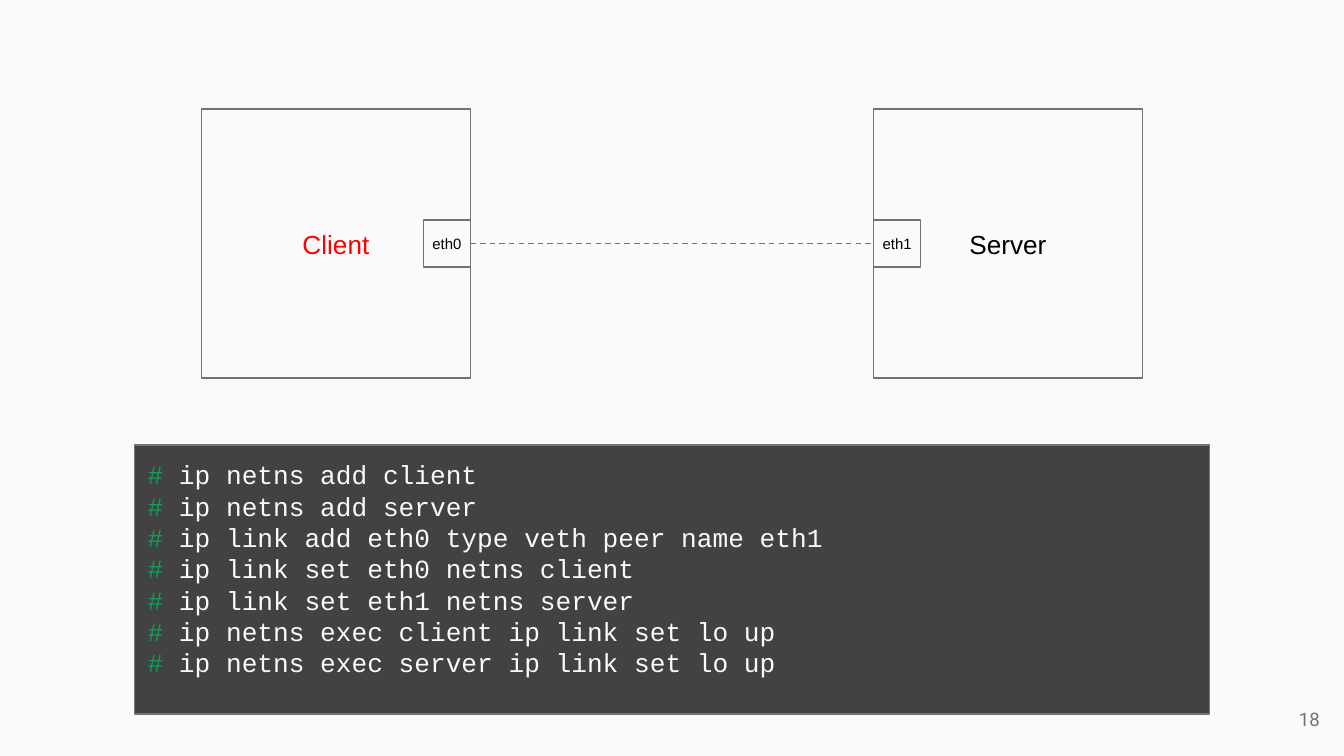
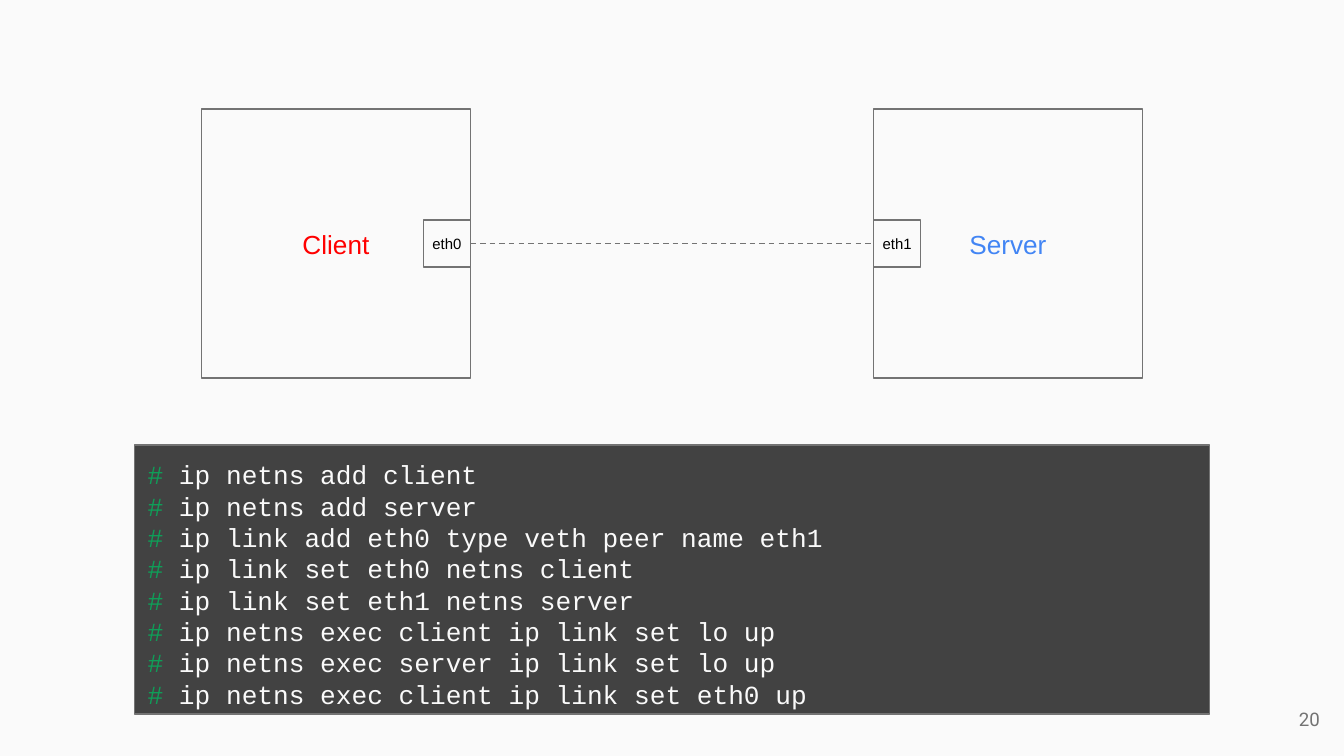
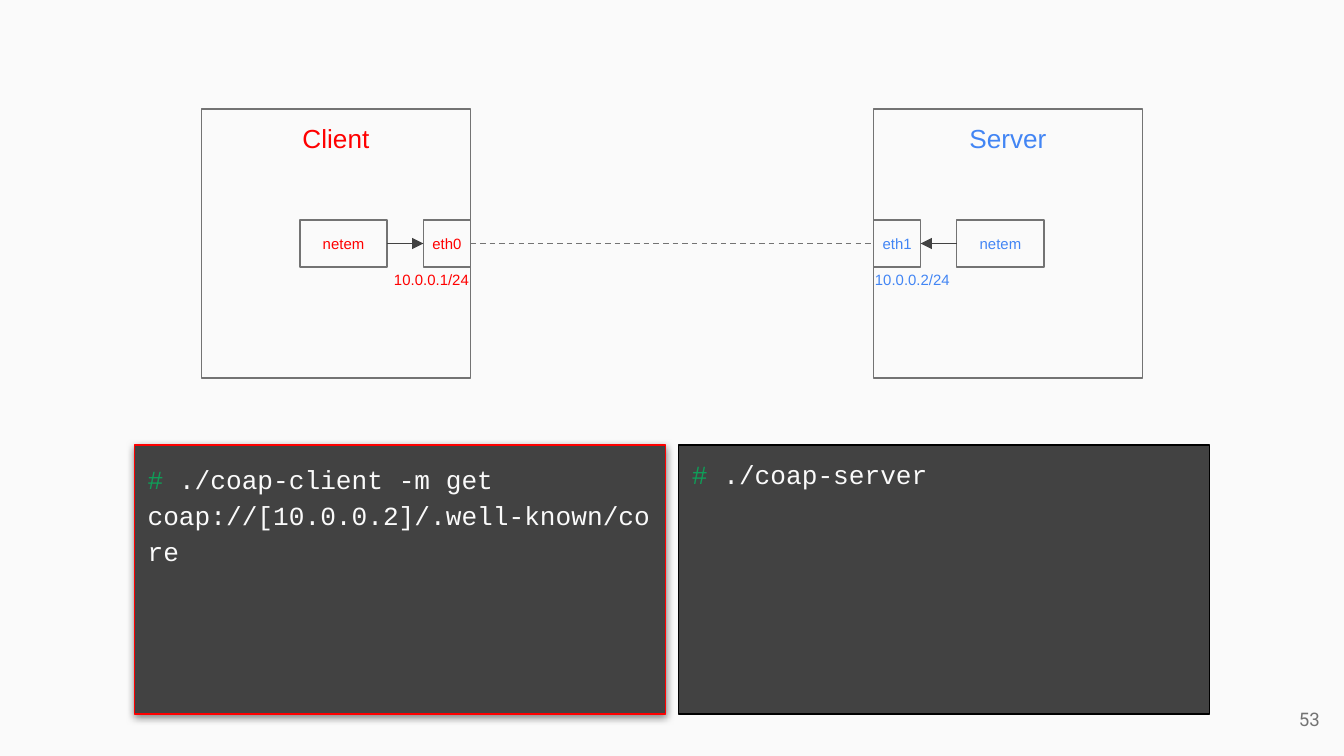
from dataclasses import dataclass

from lxml.etree import SubElement
from pptx import Presentation
from pptx.dml.color import RGBColor
from pptx.enum.dml import MSO_LINE
from pptx.enum.shapes import MSO_CONNECTOR, MSO_SHAPE
from pptx.enum.text import MSO_ANCHOR as Anchor, PP_ALIGN as Align
from pptx.oxml.ns import qn
from pptx.util import Inches, Pt

COLUMNS, ROWS = 160, 90
LEFT_SITE, RIGHT_SITE = 1, 3
HOST_LEFT, HOST_TOP, HOST_SIZE = 24, 13, 32
PORT_SIZE, NETEM_WIDTH, ARROW_LENGTH = 5.6, 10.4, 4.3
PORT_LEFT = HOST_LEFT + HOST_SIZE - PORT_SIZE
PORT_TOP = HOST_TOP + (HOST_SIZE - PORT_SIZE) / 2
NETEM_LEFT = PORT_LEFT - ARROW_LENGTH - NETEM_WIDTH
ADDRESS_SIZE = 12.8
TERMINAL_LEFT, TERMINAL_TOP, TERMINAL_HEIGHT = 16, 53, 32
TERMINAL_WIDTH, HALF_WIDTH = 128, 63.2
INSET = 1.6

SETUP_COMMANDS = [
    "ip netns add client",
    "ip netns add server",
    "ip link add eth0 type veth peer name eth1",
    "ip link set eth0 netns client",
    "ip link set eth1 netns server",
    "ip netns exec client ip link set lo up",
    "ip netns exec server ip link set lo up",
]


@dataclass(frozen=True)
class Theme:
    """Colours, fonts and type sizes of the deck."""
    paper: str = "FAFAFA"
    ink: str = "000000"
    outline: str = "737373"
    dark: str = "424242"
    prompt: str = "0F9D58"
    client: str = "FF0000"
    server: str = "4285F4"
    sans: str = "Arial"
    mono: str = "Courier New"
    number: str = "Roboto"
    large: int = 14
    medium: int = 10
    small: int = 8
    line: float = 0.75


def mirrored(left, width):
    """Return the left edge of a span reflected across the slide."""
    return COLUMNS - left - width


class Sketch:
    """Draws styled elements on the current slide of a deck."""

    def __init__(self, theme):
        """Start an empty widescreen deck."""
        self.theme = theme
        self.deck = Presentation()
        self.deck.slide_width, self.deck.slide_height = Inches(10), Inches(5.625)
        self.fill(self.deck.slide_master.background, theme.paper)
        self.slide = None

    def fill(self, target, color):
        """Give the target a solid fill."""
        target.fill.solid()
        target.fill.fore_color.rgb = RGBColor.from_string(color)

    def columns(self, count):
        """Turn grid columns into a length."""
        return round(self.deck.slide_width * count / COLUMNS)

    def rows(self, count):
        """Turn grid rows into a length."""
        return round(self.deck.slide_height * count / ROWS)

    def place(self, left, top, width, height):
        """Turn a grid area into position and size."""
        return self.columns(left), self.rows(top), self.columns(width), self.rows(height)

    def page(self, number):
        """Add a slide with its number."""
        self.slide = self.deck.slides.add_slide(self.deck.slide_layouts[6])
        self.label(str(number), (149.1, 82.2, 9.6, 6.9), self.theme.outline, Align.RIGHT,
                   size=self.theme.medium, font=self.theme.number,
                   anchor=Anchor.MIDDLE, insets=(INSET, INSET))

    def frame(self, box, anchor, insets, vertical=0):
        """Set wrapping, anchor and margins of a text frame."""
        frame = box.text_frame
        frame.word_wrap = True
        frame.vertical_anchor = anchor
        frame.margin_left, frame.margin_right = map(self.columns, insets)
        frame.margin_top = frame.margin_bottom = self.rows(vertical)
        return frame

    def style(self, para, size, font, align, color=None):
        """Format a whole paragraph."""
        para.alignment = align
        para.font.size, para.font.name = Pt(size), font
        if color:
            para.font.color.rgb = RGBColor.from_string(color)

    def label(self, text, area, color, align, size=None, font=None,
              anchor=Anchor.TOP, insets=(0, 0)):
        """Add free-standing text."""
        box = self.slide.shapes.add_textbox(*self.place(*area))
        para = self.frame(box, anchor, insets).paragraphs[0]
        para.text = text
        self.style(para, size or self.theme.small, font or self.theme.sans, align, color)

    def rectangle(self, area, line, fill=None):
        """Add an outlined rectangle."""
        box = self.slide.shapes.add_shape(MSO_SHAPE.RECTANGLE, *self.place(*area))
        box.shadow.inherit = False
        if fill:
            self.fill(box, fill)
        else:
            box.fill.background()
        box.line.color.rgb = RGBColor.from_string(line)
        box.line.width = Pt(self.theme.line)
        return box

    def node(self, text, area, color, size=None, anchor=Anchor.MIDDLE, inset=0):
        """Add a labelled, unfilled box."""
        box = self.rectangle(area, self.theme.outline)
        para = self.frame(box, anchor, (inset, inset), inset).paragraphs[0]
        para.text = text
        self.style(para, size or self.theme.small, self.theme.sans, Align.CENTER, color)
        return box

    def link(self, start, start_site, end, end_site, arrow=False):
        """Join two boxes with an arrow or a dashed line."""
        link = self.slide.shapes.add_connector(MSO_CONNECTOR.STRAIGHT, 0, 0, 0, 0)
        link.begin_connect(start, start_site)
        link.end_connect(end, end_site)
        color = self.theme.dark if arrow else self.theme.outline
        link.line.color.rgb = RGBColor.from_string(color)
        link.line.width = Pt(self.theme.line)
        properties = link.element.spPr
        if arrow:
            SubElement(properties.find(qn("a:ln")), qn("a:tailEnd"), type="triangle")
        else:
            link.line.dash_style = MSO_LINE.DASH
        SubElement(properties, qn("a:effectLst"))

    def glow(self, box):
        """Give a box a soft shadow below it."""
        effects = box.element.spPr.find(qn("a:effectLst"))
        shadow = SubElement(effects, qn("a:outerShdw"), blurRad=str(Pt(4.5)),
                            dist=str(Pt(1.5)), dir="5400000", algn="bl", rotWithShape="0")
        color = SubElement(shadow, qn("a:srgbClr"), val=self.theme.ink)
        SubElement(color, qn("a:alpha"), val="50000")

    def terminal(self, commands, left, width, line, spacing=None):
        """Add a dark console with one prompt per command."""
        box = self.rectangle((left, TERMINAL_TOP, width, TERMINAL_HEIGHT), line, self.theme.dark)
        frame = self.frame(box, Anchor.TOP, (INSET, INSET), INSET)
        for index, command in enumerate(commands):
            para = frame.add_paragraph() if index else frame.paragraphs[0]
            self.style(para, self.theme.large, self.theme.mono, Align.LEFT)
            para.line_spacing = spacing
            for text, color in (("#", self.theme.prompt), (" " + command, self.theme.paper)):
                span = para.add_run()
                span.text = text
                span.font.color.rgb = RGBColor.from_string(color)
        return box

    def network(self, server_color, port_colors, anchor=Anchor.MIDDLE):
        """Draw both hosts and their linked ports, and return the ports."""
        for name, left, color in (("Client", HOST_LEFT, self.theme.client),
                                  ("Server", mirrored(HOST_LEFT, HOST_SIZE), server_color)):
            self.node(name, (left, HOST_TOP, HOST_SIZE, HOST_SIZE), color,
                      self.theme.large, anchor, INSET)
        lefts = PORT_LEFT, mirrored(PORT_LEFT, PORT_SIZE)
        ports = [self.node(f"eth{index}", (left, PORT_TOP, PORT_SIZE, PORT_SIZE), color)
                 for index, (left, color) in enumerate(zip(lefts, port_colors))]
        self.link(ports[0], RIGHT_SITE, ports[1], LEFT_SITE)
        return ports

    def addresses(self, colors):
        """Write the address below each port."""
        left, top = HOST_LEFT + HOST_SIZE - ADDRESS_SIZE, PORT_TOP + PORT_SIZE + 0.4
        sides = ((left, Align.RIGHT, (0, 0.16)),
                 (mirrored(left, ADDRESS_SIZE), Align.LEFT, (0.16, 0)))
        for host, ((left, align, insets), color) in enumerate(zip(sides, colors), 1):
            self.label(f"10.0.0.{host}/24", (left, top, ADDRESS_SIZE, ADDRESS_SIZE),
                       color, align, insets=insets)

    def emulators(self, ports, colors):
        """Put a netem box with an arrow beside each port."""
        sides = ((NETEM_LEFT, RIGHT_SITE, LEFT_SITE),
                 (mirrored(NETEM_LEFT, NETEM_WIDTH), LEFT_SITE, RIGHT_SITE))
        for port, color, (left, start_site, end_site) in zip(ports, colors, sides):
            netem = self.node("netem", (left, PORT_TOP, NETEM_WIDTH, PORT_SIZE), color)
            self.link(netem, start_site, port, end_site, arrow=True)


def main():
    """Build and save the deck."""
    theme = Theme()
    sketch = Sketch(theme)
    steps = (
        (18, theme.ink, SETUP_COMMANDS),
        (20, theme.server, SETUP_COMMANDS + ["ip netns exec client ip link set eth0 up"]),
    )
    for number, server_color, commands in steps:
        sketch.page(number)
        sketch.network(server_color, (theme.ink, theme.ink))
        sketch.terminal(commands, TERMINAL_LEFT, TERMINAL_WIDTH, theme.outline)

    sketch.page(53)
    request = sketch.terminal(["./coap-client -m get coap://[10.0.0.2]/.well-known/core"],
                              TERMINAL_LEFT, HALF_WIDTH, theme.client, spacing=1.15)
    sketch.glow(request)
    sketch.terminal(["./coap-server"], mirrored(TERMINAL_LEFT, HALF_WIDTH), HALF_WIDTH, theme.ink)
    colors = theme.client, theme.server
    ports = sketch.network(theme.server, colors, Anchor.TOP)
    sketch.addresses(colors)
    sketch.emulators(ports, colors)
    sketch.deck.save("out.pptx")


if __name__ == "__main__":
    main()
